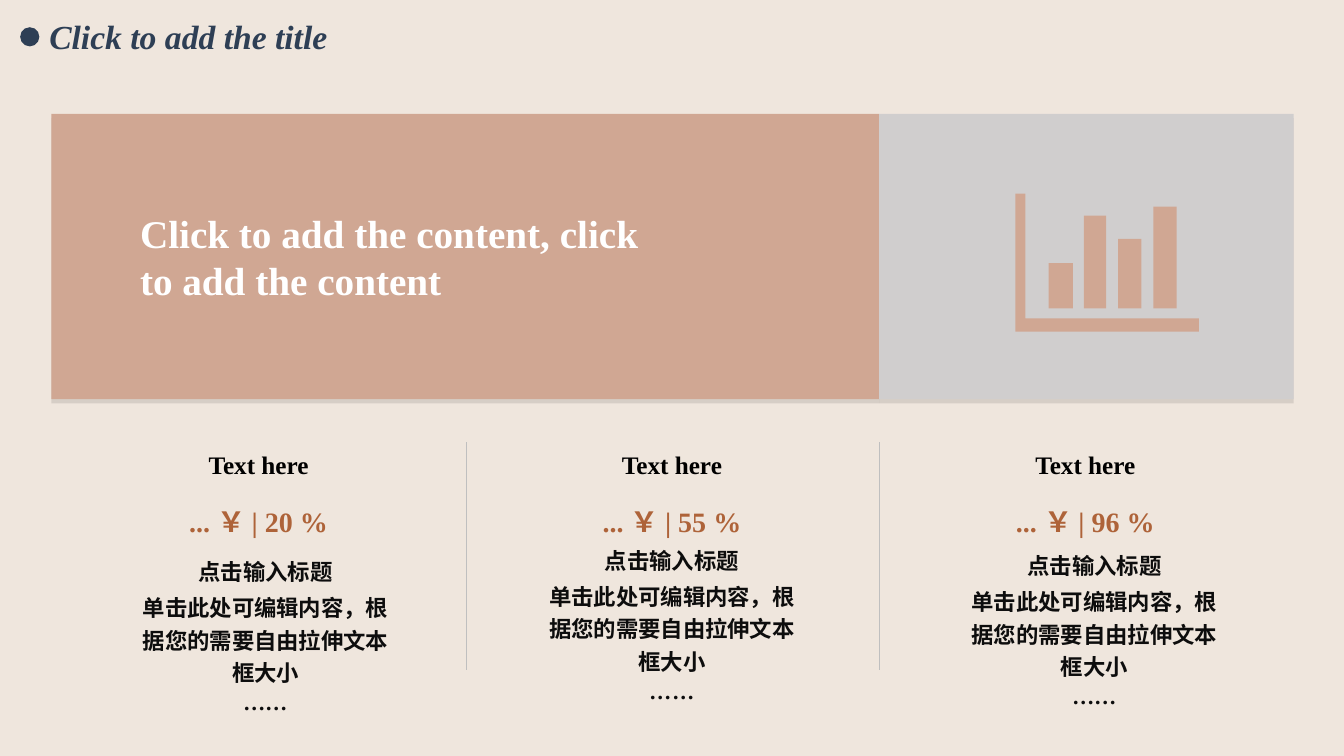
import pptx
import pptx.dml.color
import pptx.enum.shapes
import pptx.enum.text
import pptx.oxml
import pptx.oxml.ns
import pptx.util
from pptx.util import Inches

SHAPES = pptx.enum.shapes.MSO_SHAPE
ALIGN = pptx.enum.text.PP_ALIGN
ANCHOR = pptx.enum.text.MSO_ANCHOR
SERIF, CJK = "Times New Roman", "Noto Sans CJK SC"
NAVY, CLAY, RUST, SILVER = "2E3F55", "D0A793", "AE6339", "D0CECE"


def color(value):
    return pptx.dml.color.RGBColor.from_string(value)


class SlideKit:
    """Draws styled elements on the current slide."""

    def __init__(self, slide, background):
        self.slide = slide
        slide.background.fill.solid()
        slide.background.fill.fore_color.rgb = color(background)

    def paint(self, shape, fill):
        shape.shadow.inherit = False
        shape.fill.solid()
        shape.fill.fore_color.rgb = color(fill)
        shape.line.fill.background()
        return shape

    def block(self, kind, box, fill):
        shape = self.slide.shapes.add_shape(kind, *map(Inches, box))
        return self.paint(shape, fill)

    def panel(self, box, fill):
        panel = self.block(SHAPES.RECTANGLE, box, fill)
        effects = panel._element.spPr.find(pptx.oxml.ns.qn("a:effectLst"))
        effects.append(pptx.oxml.parse_xml(
            f'<a:outerShdw {pptx.oxml.ns.nsdecls("a")} blurRad="0" dist="38100" '
            'dir="5400000" algn="t" rotWithShape="0"><a:srgbClr val="000000">'
            '<a:alpha val="10000"/></a:srgbClr></a:outerShdw>'))

    def divider(self, x, top, bottom):
        line = self.slide.shapes.add_connector(
            pptx.enum.shapes.MSO_CONNECTOR.STRAIGHT,
            Inches(x), Inches(top), Inches(x), Inches(bottom))
        line.line.color.rgb = color("BFBFBF")
        line.line.width = pptx.util.Pt(0.25)
        line._element.spPr.append(pptx.oxml.parse_xml(
            f'<a:effectLst {pptx.oxml.ns.nsdecls("a")}/>'))

    def outline(self, contours, fill):
        first, *rest = [[(Inches(x), Inches(y)) for x, y in contour]
                        for contour in contours]
        builder = self.slide.shapes.build_freeform(*first[0])
        builder.add_line_segments(first[1:], close=True)
        for contour in rest:
            builder.move_to(*contour[0])
            builder.add_line_segments(contour[1:], close=True)
        self.paint(builder.convert_to_shape(), fill)

    def text(self, box, paragraphs, size, fill, font=SERIF, align=ALIGN.CENTER,
             anchor=ANCHOR.MIDDLE, italic=False, inset=None, gap=0, spacing=1.0):
        frame = self.slide.shapes.add_textbox(*map(Inches, box)).text_frame
        frame.word_wrap = True
        frame.vertical_anchor = anchor
        if inset is not None:
            frame.margin_left = frame.margin_right = Inches(inset)
            frame.margin_top = frame.margin_bottom = Inches(inset)
        for index, words in enumerate(paragraphs):
            paragraph = frame.add_paragraph() if index else frame.paragraphs[0]
            paragraph.alignment = align
            paragraph.line_spacing = spacing
            if index:
                paragraph.space_before = pptx.util.Pt(gap)
            run = paragraph.add_run()
            run.text = words
            run.font.name = font
            run.font.size = pptx.util.Pt(size)
            run.font.bold = True
            run.font.italic = italic
            run.font.color.rgb = color(fill)
            run.font._element.append(pptx.oxml.parse_xml(
                f'<a:ea {pptx.oxml.ns.nsdecls("a")} typeface="{CJK}"/>'))


def main():
    deck = pptx.Presentation()
    deck.slide_width, deck.slide_height = Inches(13.33), Inches(7.5)
    kit = SlideKit(deck.slides.add_slide(deck.slide_layouts[6]), "EFE6DD")

    kit.panel((0.51, 1.13, 8.21, 2.83), CLAY)
    kit.panel((8.72, 1.13, 4.11, 2.83), SILVER)
    kit.text((1.29, 1.75, 5.38, 1.58),
             ["Click to add the content, click to add the content"],
             28, "FFFFFF", align=ALIGN.LEFT)

    axes = [(11.89, 3.29), (10.07, 3.29), (10.07, 1.92),
            (10.17, 1.92), (10.17, 3.16), (11.89, 3.16)]
    bars = [(10.4, 10.64, 2.61), (10.75, 10.97, 2.14),
            (11.09, 11.32, 2.37), (11.44, 11.67, 2.05)]
    base = 3.06
    kit.outline([axes] + [[(right, base), (left, base), (left, top), (right, top)]
                          for left, right, top in bars], CLAY)

    details = ["点击输入标题", "单击此处可编辑内容，根据您的需要自由拉伸文本框大小", "……"]
    columns = [(20, 1.36, 5.48), (55, 5.39, 5.37), (96, 9.58, 5.42)]
    for index, (percent, detail_left, detail_top) in enumerate(columns):
        left = 1 + 4.1 * index
        kit.text((left, 4.31, 3.13, 0.6), ["Text here"], 18, "000000")
        kit.text((left, 4.95, 3.13, 0.45), [f"... ￥ | {percent} %"], 20, RUST)
        kit.text((detail_left, detail_top, 2.55, 1.72), details, 16, "0D0D0D",
                 font=CJK, anchor=ANCHOR.TOP, inset=0, gap=3.2, spacing=1.2)
    for x in (4.62, 8.72):
        kit.divider(x, 4.39, 6.65)

    kit.text((0.39, 0.11, 3.15, 0.5), ["Click to add the title"], 24, NAVY,
             align=ALIGN.LEFT, anchor=ANCHOR.TOP, italic=True)
    kit.block(SHAPES.OVAL, (0.2, 0.27, 0.19, 0.19), NAVY)
    deck.save("out.pptx")


if __name__ == "__main__":
    main()
